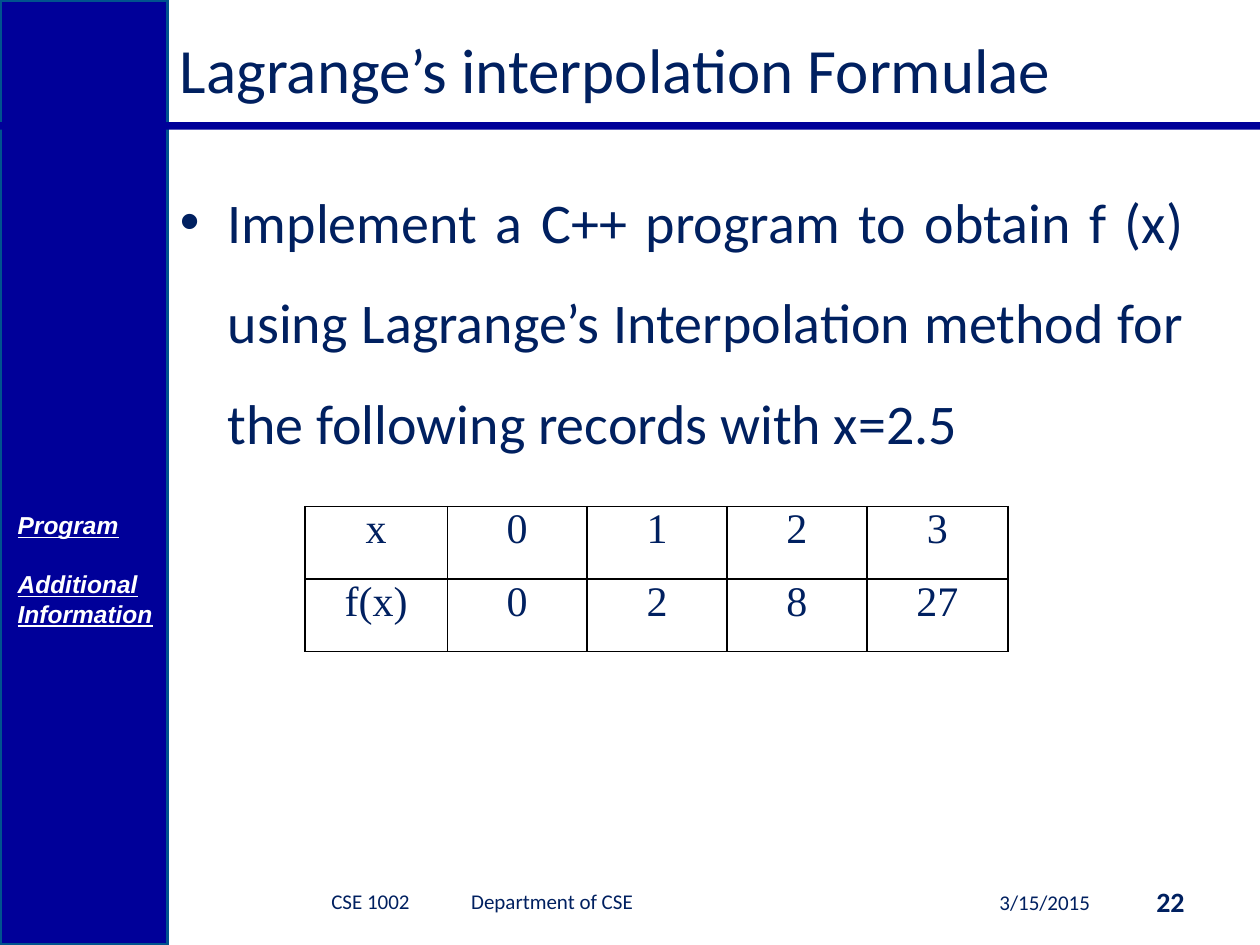
from lxml import etree
from pptx import Presentation, util as u
from pptx.dml.color import RGBColor
from pptx.enum import shapes, text
from pptx.oxml import ns

Inches, Pt = u.Inches, u.Pt
COLORS = {"navy": "002060", "blue": "000099", "edge": "00538E",
          "white": "FFFFFF", "black": "000000"}
RECORDS = [["x", "0", "1", "2", "3"],
           ["f(x)", "0", "2", "8", "27"]]
COLUMN_WIDTHS = [1.13, 1.11, 1.11, 1.11, 1.12]
ROW_HEIGHT = 0.575


def color(name):
    return RGBColor.from_string(COLORS[name])


def add_child(parent, tag, **attributes):
    return etree.SubElement(parent, ns.qn(tag), attributes)


def style(para, size, font="Calibri", fill="navy", align=text.PP_ALIGN.LEFT, bold=False):
    para.alignment = align
    para.font.size = Pt(size)
    para.font.name = font
    para.font.bold = bold
    para.font.color.rgb = color(fill)


def add_bar(page, left, top, width, height):
    bar = page.shapes.add_shape(shapes.MSO_SHAPE.RECTANGLE, Inches(left), Inches(top),
                                Inches(width), Inches(height))
    bar.shadow.inherit = False
    bar.fill.solid()
    bar.fill.fore_color.rgb = color("blue")
    bar.line.fill.background()
    return bar


def add_text(page, place, lines, anchor=text.MSO_ANCHOR.MIDDLE, **look):
    box = page.shapes.add_textbox(*map(Inches, place))
    frame = box.text_frame
    frame.word_wrap = True
    frame.vertical_anchor = anchor
    for index, line in enumerate(lines):
        para = frame.add_paragraph() if index else frame.paragraphs[0]
        para.text = line
        style(para, **look)
    return frame


def add_body(page):
    frame = add_text(page, (1.33, 1.17, 8.17, 5.53),
                     ["Implement a C++ program to obtain f (x) using Lagrange’s "
                      "Interpolation method for the following records with x=2.5"],
                     anchor=text.MSO_ANCHOR.TOP, size=32, align=text.PP_ALIGN.JUSTIFY)
    para = frame.paragraphs[0]
    para.line_spacing = 1.5
    para.space_before = Pt(6.4)
    properties = para._p.get_or_add_pPr()
    properties.set("marL", str(Inches(0.38)))
    properties.set("indent", str(-Inches(0.38)))
    add_child(properties, "a:buFont", typeface="Arial")
    add_child(properties, "a:buChar", char="•")


def add_borders(cell):
    properties = cell._tc.get_or_add_tcPr()
    for side in ("a:lnL", "a:lnR", "a:lnT", "a:lnB"):
        line = add_child(properties, side, w=str(Pt(1)))
        fill = add_child(line, "a:solidFill")
        add_child(fill, "a:srgbClr", val=COLORS["black"])


def add_records(page):
    table = page.shapes.add_table(len(RECORDS), len(COLUMN_WIDTHS), Inches(2.42), Inches(4.02),
                                  Inches(sum(COLUMN_WIDTHS)),
                                  Inches(ROW_HEIGHT * len(RECORDS))).table
    table.first_row = table.horz_banding = False
    for column, width in zip(table.columns, COLUMN_WIDTHS):
        column.width = Inches(width)
    for row, values in zip(table.rows, RECORDS):
        row.height = Inches(ROW_HEIGHT)
        for cell, value in zip(row.cells, values):
            cell.text = value
            cell.margin_left = cell.margin_right = Inches(0.07)
            cell.margin_top = cell.margin_bottom = 0
            style(cell.text_frame.paragraphs[0], 24, "Times New Roman",
                  align=text.PP_ALIGN.CENTER)
            add_borders(cell)
            cell.fill.background()


def add_footer(page):
    # Course and department, parted by a tab stop
    frame = add_text(page, (1.42, 6.95, 4.83, 0.4), ["CSE 1002\tDepartment of CSE"], size=12)
    frame.margin_left = Inches(1.21)
    stops = add_child(frame.paragraphs[0]._p.get_or_add_pPr(), "a:tabLst")
    add_child(stops, "a:tab", pos=str(Inches(1.11)), algn="l")

    # Date and page number
    right = text.PP_ALIGN.RIGHT
    add_text(page, (7, 6.96, 1.75, 0.4), ["3/15/2015"], size=12, align=right)
    add_text(page, (8.75, 6.95, 0.75, 0.4), ["22"], size=16, align=right, bold=True)


def add_menu(page):
    frame = add_text(page, (-0.02, 4, 1.35, 1.04), ["Program", "Additional Information"],
                     anchor=text.MSO_ANCHOR.TOP, size=14, font="Arial", fill="white", bold=True)
    frame.margin_left = Inches(0.16)
    for para in frame.paragraphs:
        para.font.italic = para.font.underline = True
    frame.paragraphs[1].space_before = Pt(17)


def main():
    deck = Presentation()
    deck.slide_width, deck.slide_height = Inches(10), Inches(7.5)
    page = deck.slides.add_slide(deck.slide_layouts[6])

    # Sidebar and title rule
    sidebar = add_bar(page, 0, 0, 1.33, 7.5)
    sidebar.line.color.rgb = color("edge")
    sidebar.line.width = Pt(2)
    add_bar(page, 0, 0.97, 10, 0.06)

    # Content
    add_body(page)
    add_footer(page)
    add_text(page, (1.33, 0.17, 7.83, 0.75), ["Lagrange’s interpolation Formulae"], size=36)
    add_records(page)
    add_menu(page)
    deck.save("out.pptx")


if __name__ == "__main__":
    main()
